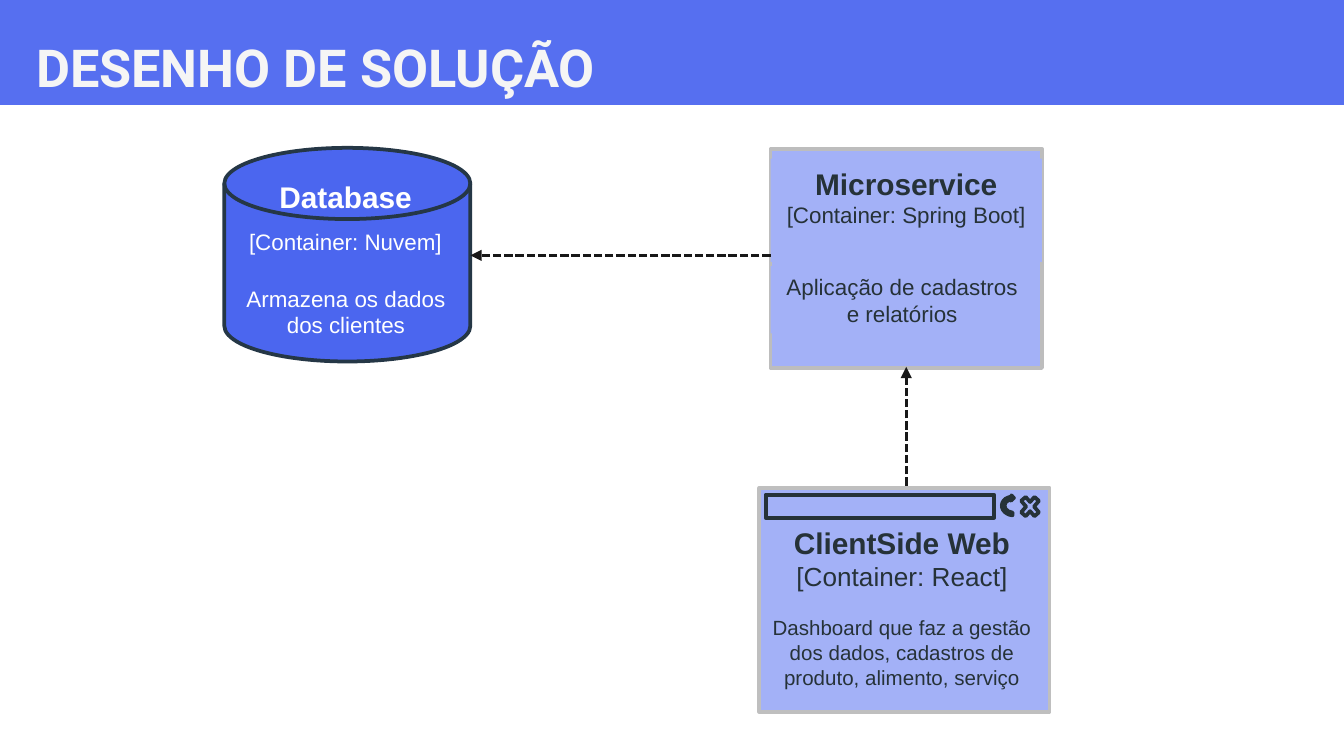
from dataclasses import dataclass

from lxml.etree import SubElement
from pptx import Presentation
from pptx.dml.color import RGBColor
from pptx.enum.dml import MSO_LINE
from pptx.enum.shapes import MSO_CONNECTOR, MSO_SHAPE
from pptx.enum.text import MSO_ANCHOR, MSO_AUTO_SIZE, PP_ALIGN
from pptx.oxml.ns import qn
from pptx.util import Pt


@dataclass(frozen=True)
class Theme:
    # Colours
    band: str = "566FF0"
    title: str = "F5F5F5"
    database: str = "4B66EF"
    database_edge: str = "253746"
    panel: str = "A3B1F7"
    service_edge: str = "BDBDBD"
    client_edge: str = "BFBFBF"
    ink: str = "263238"
    light: str = "FFFFFF"
    arrow: str = "181818"
    # Fonts and type sizes
    title_font: str = "Roboto"
    body_font: str = "Arial"
    title_size: float = 28
    name_size: float = 16
    large_size: float = 14
    text_size: float = 12
    small_size: float = 11
    # Line widths
    edge_width: float = 2
    arrow_width: float = 1.5


def write(paragraph, text, *, font, size, color, bold=False,
          align=PP_ALIGN.CENTER, spacing=1.0):
    paragraph.alignment = align
    paragraph.line_spacing = spacing
    paragraph.space_before = Pt(0)
    span = paragraph.add_run()
    span.text = text
    span.font.name = font
    span.font.size = Pt(size)
    span.font.bold = bold
    span.font.color.rgb = RGBColor.from_string(color)


class Diagram:
    def __init__(self, page, theme):
        self.page = page
        self.theme = theme

    def title(self, text, left, top, width, height):
        box = self.page.shapes.title
        box.left, box.top, box.width, box.height = map(Pt, (left, top, width, height))
        frame = box.text_frame
        frame.auto_size = MSO_AUTO_SIZE.NONE
        frame.vertical_anchor = MSO_ANCHOR.MIDDLE
        frame.margin_left = frame.margin_right = Pt(7.2)
        frame.margin_top = frame.margin_bottom = Pt(7.2)
        write(frame.paragraphs[0], text, font=self.theme.title_font,
              size=self.theme.title_size, color=self.theme.title,
              bold=True, align=PP_ALIGN.LEFT)
        # Bring the title in front of the band
        box.element.getparent().append(box.element)

    def shape(self, kind, left, top, width, height, fill=None, edge=None, rotation=0):
        shape = self.page.shapes.add_shape(kind, *map(Pt, (left, top, width, height)))
        shape.shadow.inherit = False
        shape.rotation = rotation
        if fill:
            shape.fill.solid()
            shape.fill.fore_color.rgb = RGBColor.from_string(fill)
        else:
            shape.fill.background()
        if edge:
            shape.line.color.rgb = RGBColor.from_string(edge)
            shape.line.width = Pt(self.theme.edge_width)
        else:
            shape.line.fill.background()
        return shape

    def text(self, lines, left, top, width, height, color, fill=None, spacing=1.0):
        """Each line is a (text, size, bold) tuple."""
        box = self.page.shapes.add_textbox(*map(Pt, (left, top, width, height)))
        if fill:
            box.fill.solid()
            box.fill.fore_color.rgb = RGBColor.from_string(fill)
        frame = box.text_frame
        frame.word_wrap = True
        for index, (text, size, bold) in enumerate(lines):
            paragraph = frame.add_paragraph() if index else frame.paragraphs[0]
            write(paragraph, text, font=self.theme.body_font, size=size,
                  color=color, bold=bold, spacing=spacing)

    def arrow(self, start, end):
        line = self.page.shapes.add_connector(
            MSO_CONNECTOR.STRAIGHT, *map(Pt, (*start, *end)))
        line.line.color.rgb = RGBColor.from_string(self.theme.arrow)
        line.line.width = Pt(self.theme.arrow_width)
        line.line.dash_style = MSO_LINE.SQUARE_DOT
        properties = line.element.spPr
        SubElement(properties.find(qn("a:ln")), qn("a:tailEnd"),
                   type="triangle", w="med", len="med")
        SubElement(properties, qn("a:effectLst"))


def main():
    theme = Theme()
    deck = Presentation()
    deck.slide_width, deck.slide_height = Pt(720), Pt(405)
    page = deck.slides.add_slide(deck.slide_layouts.get_by_name("Title Only"))
    diagram = Diagram(page, theme)

    # Header
    diagram.shape(MSO_SHAPE.RECTANGLE, 0, 0, 720, 56.2, fill=theme.band)
    diagram.title("DESENHO DE SOLUÇÃO", 12.2, 13, 589.7, 45.4)

    # Database
    diagram.shape(MSO_SHAPE.FLOWCHART_MAGNETIC_DISK, 120.2, 79.2, 131.8, 114.5,
                  fill=theme.database, edge=theme.database_edge)
    diagram.text([("Database", theme.name_size, True),
                  ("[Container: Nuvem]", theme.text_size, False)],
                 103, 82.8, 164.2, 55.4, theme.light, spacing=1.5)
    diagram.text([("Armazena os dados dos clientes", theme.text_size, False)],
                 114.5, 149, 141.8, 36, theme.light)

    # Microservice
    diagram.shape(MSO_SHAPE.RECTANGLE, 412.8, 79.9, 145.4, 117.2,
                  fill=theme.panel, edge=theme.service_edge)
    diagram.text([("Microservice", theme.name_size, True),
                  ("[Container: Spring Boot]", theme.text_size, False)],
                 412.8, 85, 145.4, 55.4, theme.ink, fill=theme.panel)
    diagram.text([("Aplicação de cadastros e relatórios", theme.text_size, False)],
                 412.8, 142.6, 141.1, 36, theme.ink, fill=theme.panel)

    # Web client: window, address bar, close and reload icons
    diagram.shape(MSO_SHAPE.RECTANGLE, 406.8, 261.4, 155.5, 119.9,
                  fill=theme.panel, edge=theme.client_edge)
    diagram.shape(MSO_SHAPE.RECTANGLE, 410.2, 265, 122.4, 12.4, edge=theme.ink)
    diagram.shape(MSO_SHAPE.MATH_MULTIPLY, 545, 263.5, 13.7, 15.8, edge=theme.ink)
    diagram.shape(MSO_SHAPE.CIRCULAR_ARROW, 537.1, 264.2, 11.5, 13.7,
                  edge=theme.ink, rotation=275)
    diagram.text([("ClientSide Web", theme.name_size, True),
                  ("[Container: React]", theme.large_size, False)],
                 402.2, 277.6, 162, 42.5, theme.ink)
    diagram.text([("Dashboard que faz a gestão dos dados, cadastros de produto, "
                   "alimento, serviço", theme.small_size, False)],
                 402.2, 326.2, 162, 47.5, theme.ink)

    # Data flow
    diagram.arrow((412.8, 136.8), (252, 136.8))
    diagram.arrow((485.5, 260.2), (485.5, 196.6))

    deck.save("out.pptx")


if __name__ == "__main__":
    main()
